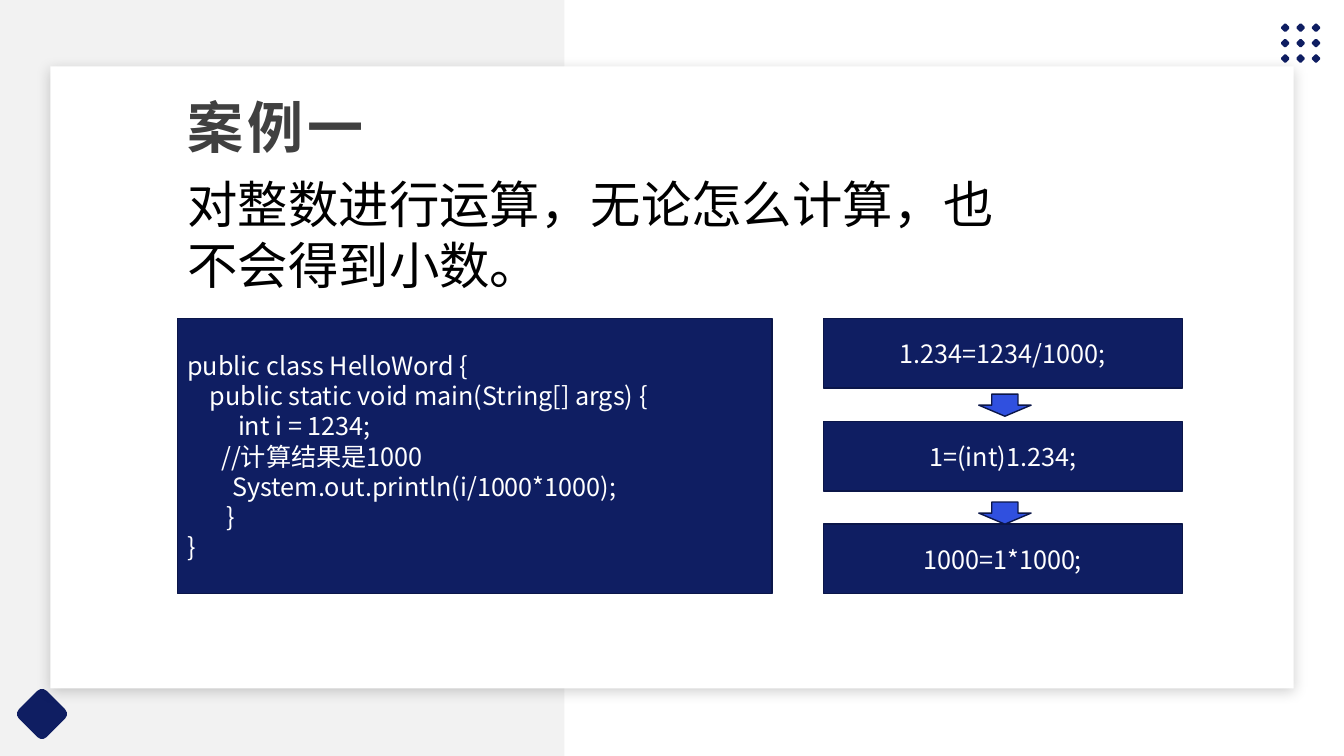
"""Build the slide for case one on integer arithmetic in Java."""
from lxml import etree
from pptx import Presentation
from pptx.dml.color import RGBColor
from pptx.enum.shapes import MSO_SHAPE
from pptx.enum.text import MSO_ANCHOR, MSO_AUTO_SIZE, PP_ALIGN
from pptx.oxml.ns import qn
from pptx.util import Pt

RECTANGLE = MSO_SHAPE.RECTANGLE
ROUNDED = MSO_SHAPE.ROUNDED_RECTANGLE
DOWN_ARROW = MSO_SHAPE.DOWN_ARROW
MIDDLE, TOP = MSO_ANCHOR.MIDDLE, MSO_ANCHOR.TOP
LEFT, CENTER = PP_ALIGN.LEFT, PP_ALIGN.CENTER
NO_AUTOFIT, GROW = MSO_AUTO_SIZE.NONE, MSO_AUTO_SIZE.SHAPE_TO_FIT_TEXT
FONT = "Noto Sans CJK SC"
NAVY, NAVY_LINE, BLUE = "0F1E62", "0B1649", "3050DF"
colour = RGBColor.from_string


def add_block(kind, left, top, width, height, fill, line=None):
    shape = slide.shapes.add_shape(kind, Pt(left), Pt(top), Pt(width), Pt(height))
    shape.shadow.inherit = False
    shape.fill.solid()
    shape.fill.fore_color.rgb = colour(fill)
    if line:
        shape.line.color.rgb = colour(line)
        shape.line.width = Pt(1)
    else:
        shape.line.fill.background()
    return shape


def write_text(shape, text, size, ink, alignment, anchor=MIDDLE):
    frame = shape.text_frame
    frame.text = text
    frame.word_wrap = True
    frame.vertical_anchor = anchor
    for paragraph in frame.paragraphs:
        paragraph.alignment = alignment
        for run in paragraph.runs:
            run.font.name = FONT
            run.font.size = Pt(size)
            run.font.color.rgb = colour(ink)
            east_asian = etree.SubElement(run.font._element, qn("a:ea"))
            east_asian.set("typeface", FONT)


presentation = Presentation()
presentation.slide_width = Pt(960)
presentation.slide_height = Pt(540)
slide = presentation.slides.add_slide(presentation.slide_layouts[1])

add_block(RECTANGLE, 0, 0, 403.2, 540, "F2F2F2")
diamond = add_block(ROUNDED, 16, 496, 28, 28, NAVY)
diamond.rotation = 45

dot_outline = [(-0.6, -2.9), (0.6, -2.9), (2.9, -0.6), (2.9, 0.6),
               (0.6, 2.9), (-0.6, 2.9), (-2.9, 0.6), (-2.9, -0.6)]
builder = None
for row in range(3):
    for column in range(3):
        center_x, center_y = 918 + 11 * column, 19.8 + 11 * row
        corners = [(Pt(center_x + x), Pt(center_y + y)) for x, y in dot_outline]
        if builder is None:
            builder = slide.shapes.build_freeform(*corners[0])
        else:
            builder.move_to(*corners[0])
        builder.add_line_segments(corners[1:], close=True)
dots = builder.convert_to_shape()
dots.shadow.inherit = False
dots.fill.solid()
dots.fill.fore_color.rgb = colour(NAVY)
dots.line.fill.background()

panel = add_block(RECTANGLE, 36, 47.5, 888, 444.2, "FFFFFF")
effects = panel._element.spPr.find(qn("a:effectLst"))
shadow = etree.SubElement(effects, qn("a:outerShdw"), blurRad=str(Pt(10)),
                          dist=str(Pt(3)), dir="5400000", rotWithShape="0")
shadow_colour = etree.SubElement(shadow, qn("a:srgbClr"), val="0D0D0D")
etree.SubElement(shadow_colour, qn("a:alpha"), val="20000")

title, body = slide.placeholders
for placeholder, left, top, width, height in [
    (title, 36, 47.5, 321.1, 80.6),
    (body, 126.7, 120.2, 603.4, 94.3),
]:
    placeholder.left, placeholder.top = Pt(left), Pt(top)
    placeholder.width, placeholder.height = Pt(width), Pt(height)
    slide.shapes.element.append(placeholder.element)

write_text(title, "案例一", 40, "404040", CENTER)
title_frame = title.text_frame
title_frame.auto_size = NO_AUTOFIT
title_frame.margin_left = title_frame.margin_right = Pt(6)
title_frame.margin_top, title_frame.margin_bottom = Pt(3), Pt(8.6)
title_paragraph = title_frame.paragraphs[0]
title_paragraph.line_spacing = 1.2
title_font = title_paragraph.runs[0].font
title_font.bold = True
title_font._element.set("spc", "300")

write_text(body, "对整数进行运算，无论怎么计算，也不会得到小数。", 36, "000000", LEFT, TOP)
body.text_frame.auto_size = GROW
body_paragraph = body.text_frame.paragraphs[0]
body_paragraph.space_before = Pt(0)
body_properties = body_paragraph._p.get_or_add_pPr()
body_properties.set("marL", "0")
body_properties.set("indent", "0")
etree.SubElement(body_properties, qn("a:buNone"))

code = """public class HelloWord {
    public static void main(String[] args) {
         int i = 1234;
      //计算结果是1000
        System.out.println(i/1000*1000);
       }
}"""
code_box = add_block(RECTANGLE, 126.7, 227.5, 424.8, 196.6, NAVY, NAVY_LINE)
write_text(code_box, code, 18, "FFFFFF", LEFT)

for index, step in enumerate(["1.234=1234/1000;", "1=(int)1.234;", "1000=1*1000;"]):
    step_box = add_block(RECTANGLE, 588.2, 227.5 + 73.45 * index, 256.3, 49.7,
                         NAVY, NAVY_LINE)
    write_text(step_box, step, 18, "FFFFFF", CENTER)

for arrow_top in (281.5, 358.6):
    add_block(DOWN_ARROW, 699.1, arrow_top, 37.4, 15.8, BLUE, NAVY_LINE)

presentation.save("out.pptx")
